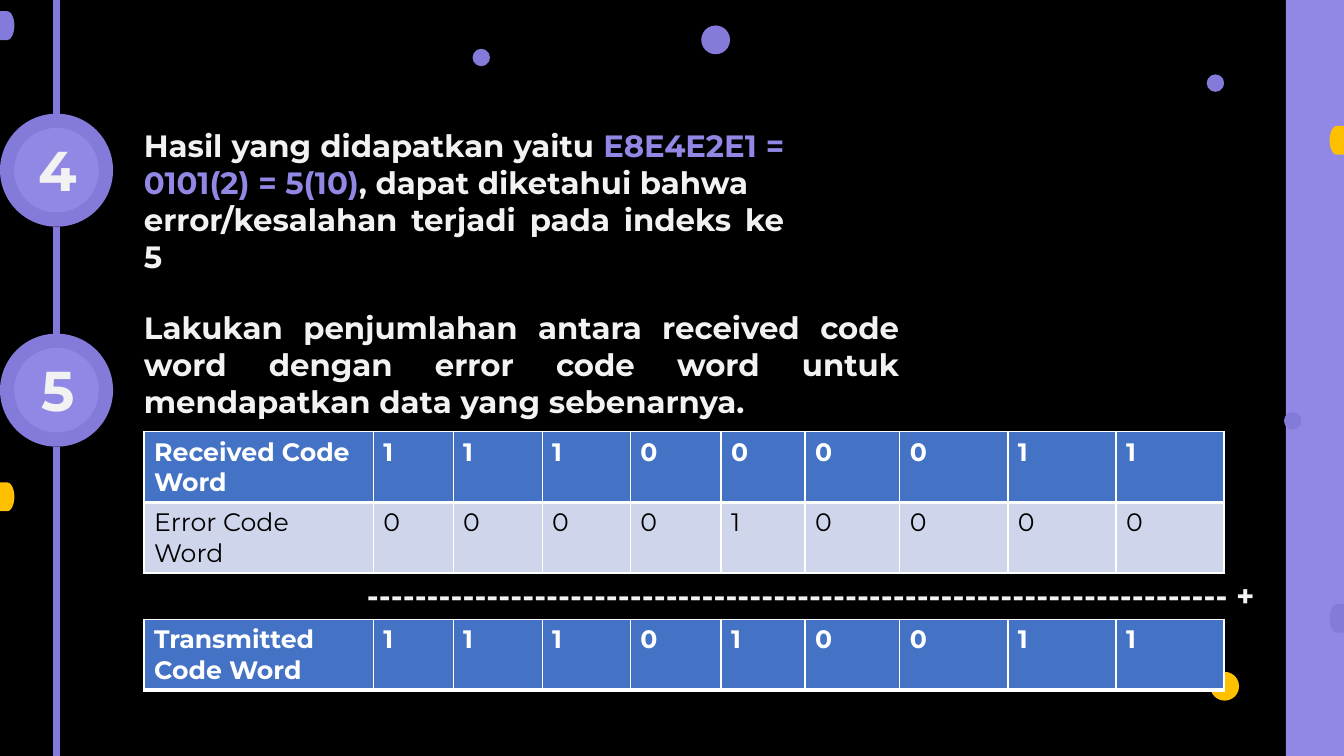
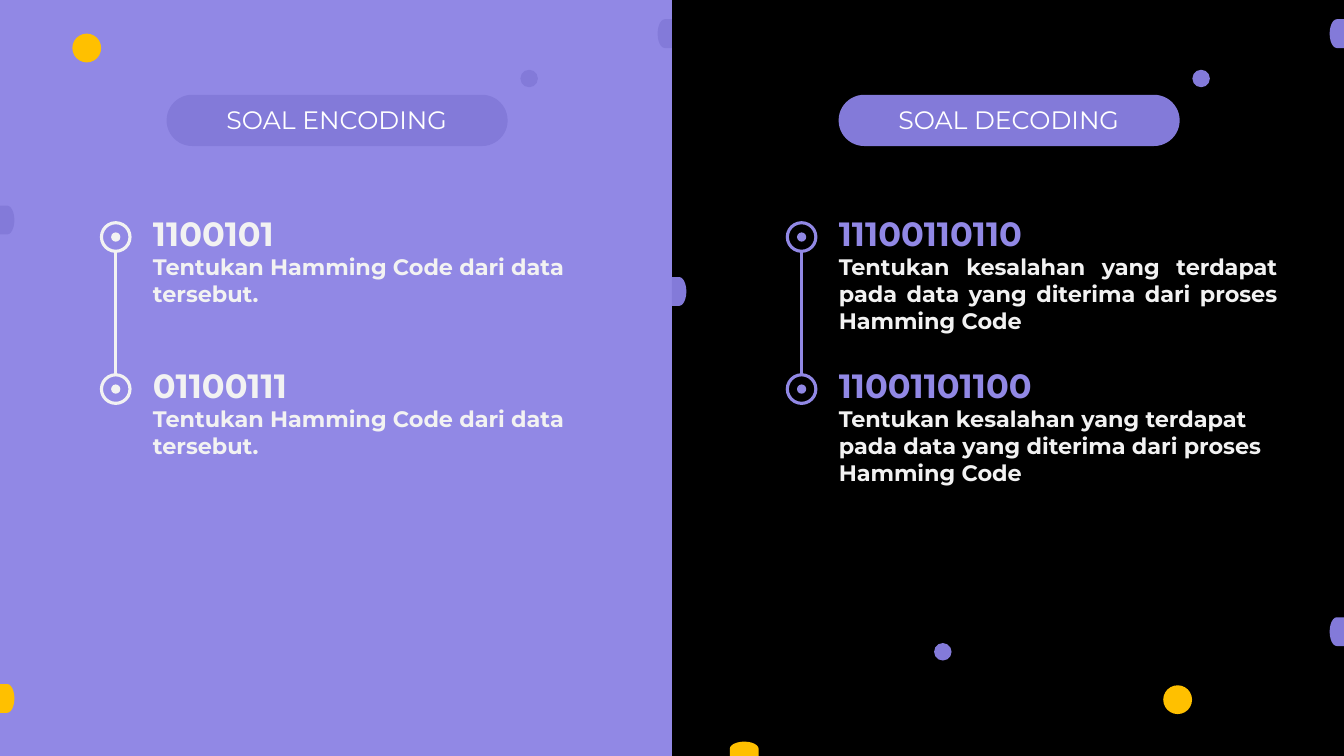
from lxml import etree
from pptx import Presentation
from pptx.dml.color import RGBColor
from pptx.enum.shapes import MSO_CONNECTOR, MSO_SHAPE
from pptx.enum.text import MSO_ANCHOR, PP_ALIGN
from pptx.oxml.ns import qn
from pptx.util import Emu, Inches, Pt

OVAL, RECTANGLE, PILL = MSO_SHAPE.OVAL, MSO_SHAPE.RECTANGLE, MSO_SHAPE.ROUNDED_RECTANGLE
HALF_ROUND = MSO_SHAPE.FLOWCHART_DELAY
LEFT, CENTER, RIGHT, JUSTIFY = PP_ALIGN.LEFT, PP_ALIGN.CENTER, PP_ALIGN.RIGHT, PP_ALIGN.JUSTIFY
MIDDLE = MSO_ANCHOR.MIDDLE
STRAIGHT = MSO_CONNECTOR.STRAIGHT

# The slide is a square grid of 160 columns by 90 rows.
COLUMNS, ROWS = 160, 90
UNIT = Inches(1) / 12

FONT = "Montserrat"
BLACK, WHITE, PALE = "000000", "FFFFFF", "F2F2F2"
VIOLET, DEEP_VIOLET, AMBER = "9188E5", "837AD9", "FFC000"
TABLE_BLUE, TABLE_BAND = "4472C4", "CFD5EA"

SMALL_DOT, LARGE_DOT = 2.08, 3.43
# Rotation of a half dot and the direction of its bulge, by the edge it sits on.
HALF_DOTS = {"left": (0, 1, 0), "right": (180, -1, 0), "bottom": (270, 0, -1)}

BADGE, BADGE_CORE = 13.46, 10.08
RING, RING_CORE = 3.4, 1.1
TABLE_COLUMNS = [27.3, 9.5, 10.6, 10.5, 10.8, 10, 11.3, 12.86, 12.86, 12.86]
TABLE_ROW = 8.4


def grid(*lengths):
    return [Emu(round(length * UNIT)) for length in lengths]


def color(hex_string):
    return RGBColor.from_string(hex_string)


def style(paragraph, size, hex_string, bold=True, align=LEFT):
    paragraph.alignment = align
    font = paragraph.font
    font.name, font.size, font.bold = FONT, Pt(size), bold
    font.color.rgb = color(hex_string)


def add_shape(slide, kind, left, top, width, height, fill=None, outline=None):
    shape = slide.shapes.add_shape(kind, *grid(left, top, width, height))
    shape.shadow.inherit = False
    if fill:
        shape.fill.solid()
        shape.fill.fore_color.rgb = color(fill)
    else:
        shape.fill.background()
    if outline:
        shape.line.color.rgb = color(outline)
        shape.line.width = Pt(2.25)
    else:
        shape.line.fill.background()
    return shape


def add_circle(slide, x, y, diameter, fill=None, outline=None):
    """Draw a circle around the centre x, y."""
    corner = x - diameter / 2, y - diameter / 2
    return add_shape(slide, OVAL, *corner, diameter, diameter, fill, outline)


def add_half_dot(slide, edge, x, y, fill):
    """Draw a large dot centred on an edge and cut off by it."""
    rotation, across, down = HALF_DOTS[edge]
    width = LARGE_DOT / 2
    left = x + across * width / 2 - width / 2
    top = y + down * width / 2 - LARGE_DOT / 2
    add_shape(slide, HALF_ROUND, left, top, width, LARGE_DOT, fill).rotation = rotation


def add_dots(slide, dots, half_dots):
    for x, y, diameter, fill in dots:
        add_circle(slide, x, y, diameter, fill)
    for half_dot in half_dots:
        add_half_dot(slide, *half_dot)


def add_vertical_line(slide, x, top, bottom, hex_string, width):
    line = slide.shapes.add_connector(STRAIGHT, *grid(x, top, x, bottom))
    line.line.color.rgb = color(hex_string)
    line.line.width = Pt(width)
    etree.SubElement(line._element.spPr, qn("a:effectLst"))


def add_text(slide, box, paragraphs, size, hex_string=PALE, align=LEFT):
    """Each paragraph is a list of (text, colour or None) runs."""
    frame = slide.shapes.add_textbox(*grid(*box)).text_frame
    frame.word_wrap = True
    for index, runs in enumerate(paragraphs):
        paragraph = frame.add_paragraph() if index else frame.paragraphs[0]
        style(paragraph, size, hex_string, align=align)
        for text, accent in runs:
            run = paragraph.add_run()
            run.text = text
            if accent:
                run.font.color.rgb = color(accent)


def label_shape(shape, text, size, hex_string, bold):
    frame = shape.text_frame
    frame.margin_left = frame.margin_right = frame.margin_top = frame.margin_bottom = 0
    frame.word_wrap = False
    frame.vertical_anchor = MIDDLE
    frame.text = text
    style(frame.paragraphs[0], size, hex_string, bold, CENTER)


def set_borders(cell, widths):
    """Set white borders; widths in points go by side letter (L, R, T, B)."""
    properties = cell._tc.get_or_add_tcPr()
    for index, (side, width) in enumerate(widths.items()):
        border = etree.Element(qn("a:ln" + side), w=str(Pt(width)))
        fill = etree.SubElement(border, qn("a:solidFill"))
        etree.SubElement(fill, qn("a:srgbClr"), val=WHITE)
        properties.insert(index, border)


def add_code_table(slide, left, top, rows):
    """Each row is a label and a string of bits; the first row is the header."""
    box = grid(left, top, sum(TABLE_COLUMNS), TABLE_ROW * len(rows))
    table = slide.shapes.add_table(len(rows), len(TABLE_COLUMNS), *box).table
    for column, width in zip(table.columns, grid(*TABLE_COLUMNS)):
        column.width = width
    for row_index, (label, bits) in enumerate(rows):
        header = row_index == 0
        table.rows[row_index].height = grid(TABLE_ROW)[0]
        for column_index, text in enumerate([label, *bits]):
            cell = table.cell(row_index, column_index)
            cell.text = text
            style(cell.text_frame.paragraphs[0], 18, WHITE if header else BLACK, header)
            cell.fill.solid()
            cell.fill.fore_color.rgb = color(TABLE_BLUE if header else TABLE_BAND)
            top_width, bottom_width = (1, 3) if header else (3, 1)
            set_borders(cell, {"L": 1, "R": 1, "T": top_width, "B": bottom_width})


def add_step_badge(slide, top, number):
    center = BADGE / 2, top + BADGE / 2
    add_circle(slide, *center, BADGE, DEEP_VIOLET)
    core = add_circle(slide, *center, BADGE_CORE, VIOLET)
    label_shape(core, number, 40, PALE, True)
    core.text_frame.margin_left, core.text_frame.margin_bottom = grid(0.4, 0.3)


def add_timeline(slide, steps):
    """Draw numbered badges joined by a line over the full slide height."""
    line_start = 0
    for top, number in steps:
        add_vertical_line(slide, BADGE / 2, line_start, top, DEEP_VIOLET, 4.5)
        add_step_badge(slide, top, number)
        line_start = top + BADGE
    add_vertical_line(slide, BADGE / 2, line_start, ROWS, DEEP_VIOLET, 4.5)


def add_black_slide(presentation):
    slide = presentation.slides.add_slide(presentation.slide_layouts[6])
    slide.background.fill.solid()
    slide.background.fill.fore_color.rgb = color(BLACK)
    return slide


def build_correction_slide(presentation):
    slide = add_black_slide(presentation)
    add_timeline(slide, [(13.53, "4"), (39.72, "5")])
    add_text(slide, (15.95, 14.48, 78.6, 19), [
        [("Hasil yang didapatkan yaitu ", None),
         ("E8E4E2E1 = 0101(2) = 5(10)", VIOLET),
         (", dapat diketahui bahwa", None)],
        [("error/kesalahan terjadi pada indeks ke 5", None)],
    ], 22, align=JUSTIFY)
    add_text(slide, (15.95, 36.18, 92.3, 14.5), [[(
        "Lakukan penjumlahan antara received code word dengan error code word "
        "untuk mendapatkan data yang sebenarnya.", None)]], 22, align=JUSTIFY)

    add_shape(slide, RECTANGLE, 153.1, 0, 29.5, ROWS, VIOLET)
    add_dots(slide, [
        (153.9, 50.1, SMALL_DOT, DEEP_VIOLET),
        (144.7, 9.9, SMALL_DOT, DEEP_VIOLET),
        (145.8, 81.7, LARGE_DOT, AMBER),
        (85.2, 4.75, LARGE_DOT, DEEP_VIOLET),
        (57.3, 6.85, SMALL_DOT, DEEP_VIOLET),
    ], [
        ("right", COLUMNS, 73.6, DEEP_VIOLET),
        ("right", COLUMNS, 16.7, AMBER),
        ("left", 0, 59.15, AMBER),
        ("left", 0, 3.05, DEEP_VIOLET),
    ])

    table_left = 17.15
    add_code_table(slide, table_left, 51.4, [
        ("Received Code Word", "111000011"),
        ("Error Code Word", "000010000"),
    ])
    add_code_table(slide, table_left, 73.75, [("Transmitted Code Word", "111010011")])
    sum_line = "------------------------------------------------------------------------ +"
    add_text(slide, (41.55, 68.12, 109.3, 5.6), [[(sum_line, None)]], 22, align=RIGHT)


def add_question_panel(slide, left, title, list_indent, accent, questions):
    """Fill half a slide, from left on, with a title pill and a list of questions.

    Each question is a code, its task and the alignment of the task.
    """
    pill = add_shape(slide, PILL, left + 19.84, 11.28, 40.6, 6.1, DEEP_VIOLET)
    pill.adjustments[0] = 0.5
    label_shape(pill, title, 18, WHITE, False)
    pill.text_frame.margin_right, pill.text_frame.margin_bottom = grid(0.1, 0.15)
    add_dots(slide, [(left + 63, 9.35, SMALL_DOT, DEEP_VIOLET)],
             [("right", left + COLUMNS / 2, 4, DEEP_VIOLET)])

    x = left + list_indent
    first, pitch = 28.22, 18.1
    for index, (code, task, align) in enumerate(questions):
        y = first + index * pitch
        add_circle(slide, x, y, RING_CORE, accent)
        add_circle(slide, x, y, RING, outline=accent)
        if index:
            add_vertical_line(slide, x, y - pitch + RING / 2, y - RING / 2, accent, 2.25)
        add_text(slide, (x + 3.25, y - 3.5, 43.4, 6), [[(code, None)]], 24, accent)
        add_text(slide, (x + 3.25, y + 1.33, 54.6, 10.9), [[(task, None)]], 16, align=align)


def build_questions_slide(presentation):
    slide = add_black_slide(presentation)
    half = COLUMNS / 2
    add_shape(slide, RECTANGLE, 0, 0, half, ROWS, VIOLET)
    add_dots(slide, [
        (10.33, 5.72, LARGE_DOT, AMBER),
        (112.25, 77.6, SMALL_DOT, DEEP_VIOLET),
        (140.2, 83.3, LARGE_DOT, AMBER),
    ], [
        ("left", 0, 83.15, AMBER),
        ("left", 0, 26.2, DEEP_VIOLET),
        ("left", half, 34.7, DEEP_VIOLET),
        ("bottom", 88.6, ROWS, AMBER),
        ("right", COLUMNS, 75.2, DEEP_VIOLET),
    ])
    encode = "Tentukan Hamming Code dari data tersebut."
    decode = ("Tentukan kesalahan yang terdapat pada data yang diterima "
              "dari proses Hamming Code")
    add_question_panel(slide, 0, "SOAL ENCODING", 13.78, PALE, [
        ("1100101", encode, LEFT), ("01100111", encode, LEFT)])
    add_question_panel(slide, half, "SOAL DECODING", 15.43, VIOLET, [
        ("11100110110", decode, JUSTIFY), ("11001101100", decode, LEFT)])


def main():
    presentation = Presentation()
    presentation.slide_width, presentation.slide_height = grid(COLUMNS, ROWS)
    build_correction_slide(presentation)
    build_questions_slide(presentation)
    presentation.save("out.pptx")


if __name__ == "__main__":
    main()
